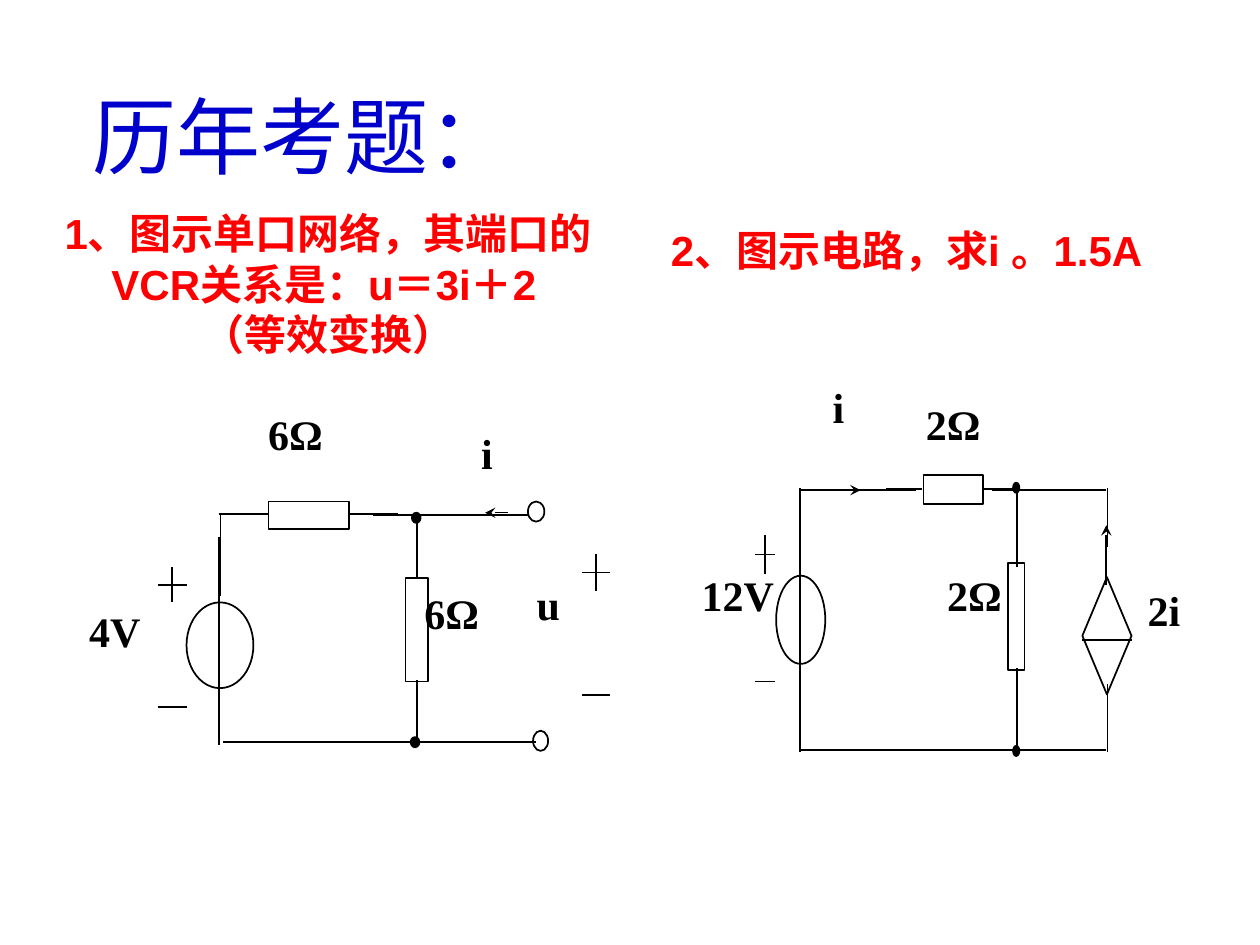
import pptx
import pptx.dml.color
import pptx.enum.shapes
import pptx.enum.text
import pptx.oxml
import pptx.util
from pptx.oxml.ns import qn

Pt = pptx.util.Pt
SHAPE = pptx.enum.shapes.MSO_SHAPE
ALIGN = pptx.enum.text.PP_ALIGN
ANCHOR = pptx.enum.text.MSO_ANCHOR
AUTO_SIZE = pptx.enum.text.MSO_AUTO_SIZE

BLUE, RED, TEAL, BLACK = "0000CC", "FF0000", "007A77", "000000"


def color(hex_code):
    return pptx.dml.color.RGBColor.from_string(hex_code)


def place(shape, left, top, width, height):
    shape.left, shape.top = Pt(left), Pt(top)
    shape.width, shape.height = Pt(width), Pt(height)


def add_run(paragraph, text, size, font_name, hex_code, bold=True):
    run = paragraph.add_run()
    run.text = text
    run.font.size = Pt(size)
    run.font.name = font_name
    run.font.bold = bold
    run.font.color.rgb = color(hex_code)


def add_text_box(shapes, box, align, wrap=True):
    """Add an empty text box; return its text frame."""
    frame = shapes.add_textbox(*map(Pt, box)).text_frame
    frame.word_wrap = wrap
    frame.paragraphs[0].alignment = align
    return frame


def add_label(circuit, text, *box):
    frame = add_text_box(circuit.shapes, box, ALIGN.JUSTIFY)
    add_run(frame.paragraphs[0], text, 24, "Times New Roman", BLACK)


def add_wire(circuit, x1, y1, x2, y2, width=1, arrow=False):
    wire = circuit.shapes.add_connector(
        pptx.enum.shapes.MSO_CONNECTOR.STRAIGHT, Pt(x1), Pt(y1), Pt(x2), Pt(y2))
    wire.line.color.rgb = color(BLACK)
    wire.line.width = Pt(width)
    properties = wire._element.spPr
    if arrow:
        head = pptx.oxml.parse_xml(
            '<a:tailEnd xmlns:a="http://schemas.openxmlformats.org/drawingml/2006/main"'
            ' type="stealth"/>')
        properties.find(qn("a:ln")).append(head)
    properties.append(properties.makeelement(qn("a:effectLst"), {}))


def add_symbol(circuit, kind, left, top, width, height, filled=False):
    symbol = circuit.shapes.add_shape(kind, *map(Pt, (left, top, width, height)))
    symbol.shadow.inherit = False
    if filled:
        symbol.fill.solid()
        symbol.fill.fore_color.rgb = color(BLACK)
    else:
        symbol.fill.background()
    symbol.line.color.rgb = color(BLACK)
    symbol.line.width = Pt(1)


def add_polarity(circuit, x, plus_y, minus_y, half_width, half_height):
    """Draw a plus sign above a minus sign."""
    for y in (plus_y, minus_y):
        add_wire(circuit, x - half_width, y, x + half_width, y)
    add_wire(circuit, x, plus_y - half_height, x, plus_y + half_height)


def add_title(slide):
    title = slide.shapes.title
    place(title, 45.4, 44.6, 647.3, 64.8)
    frame = title.text_frame
    frame.auto_size = AUTO_SIZE.SHAPE_TO_FIT_TEXT
    frame.vertical_anchor = ANCHOR.TOP
    paragraph = frame.paragraphs[0]
    paragraph.alignment = ALIGN.LEFT
    add_run(paragraph, "历年考题：", 48, "Times New Roman", BLUE, False)


def add_questions(slide):
    first = add_text_box(slide.shapes, (28.8, 100.8, 317.5, 122.4), ALIGN.CENTER)
    paragraph = first.paragraphs[0]
    add_run(paragraph, "1、图示单口网络，其端口的VCR关系是：u＝3i＋2", 24, "Arial", RED)
    add_run(paragraph, " ", 18, "Arial", TEAL, False)
    paragraph = first.add_paragraph()
    paragraph.alignment = ALIGN.CENTER
    add_run(paragraph, "（等效变换）", 24, "Arial", RED)

    second = add_text_box(slide.shapes, (364.3, 124.6, 313.2, 36), ALIGN.CENTER, False)
    add_run(second.paragraphs[0], "2、图示电路，求i 。1.5A ", 24, "Arial", RED)

    for frame in (first, second):
        frame.vertical_anchor = ANCHOR.MIDDLE
        frame.auto_size = AUTO_SIZE.SHAPE_TO_FIT_TEXT


def add_port_circuit(slide):
    circuit = slide.shapes.add_group_shape()
    # Wires: bottom, top, middle branch, source branch
    for ends in [(306, 424.1, 178.6, 424.1), (254.9, 424.1, 127.4, 424.1),
                 (302.4, 294.5, 213.1, 294.5), (153.4, 293.8, 125.3, 293.8),
                 (227.5, 293.8, 199.4, 293.8),
                 (238.3, 330.5, 238.3, 294.5), (238.3, 425.5, 238.3, 388.8),
                 (126, 340.6, 126, 294.5), (125.3, 425.5, 125.3, 306.7)]:
        add_wire(circuit, *ends)
    add_wire(circuit, 290.2, 293, 277.2, 293, width=0.75, arrow=True)
    # Resistors, source, terminals and nodes
    add_symbol(circuit, SHAPE.RECTANGLE, 153.4, 286.6, 46.1, 15.8)
    add_symbol(circuit, SHAPE.RECTANGLE, 231.8, 330.5, 13, 59)
    add_symbol(circuit, SHAPE.OVAL, 106.6, 344.2, 38.2, 49)
    add_symbol(circuit, SHAPE.OVAL, 301.7, 286.6, 9.4, 11.5)
    add_symbol(circuit, SHAPE.OVAL, 304.6, 417.6, 8.6, 11.5)
    for left, top in [(235.4, 293), (234.7, 421.2)]:
        add_symbol(circuit, SHAPE.FLOWCHART_CONNECTOR, left, top, 5, 5.8, filled=True)
    # Polarity of the source and of the port
    add_polarity(circuit, 98.3, 334.1, 403.9, 8.3, 10.1)
    add_polarity(circuit, 340.6, 327.2, 397, 8, 10.8)
    # Labels
    add_label(circuit, "i", 267.8, 240.5, 36.7, 51.8)
    add_label(circuit, "u", 299.5, 326.9, 51.1, 58.3)
    for text, left, top in [("4V", 43.9, 342.7), ("6Ω", 146.2, 229.7),
                            ("6Ω", 235.4, 331.9)]:
        add_label(circuit, text, left, top, 76.3, 51.8)


def add_controlled_source_circuit(slide):
    circuit = slide.shapes.add_group_shape()
    # Wires: source branch, top, bottom, middle branch, right branch
    for ends in [(457.2, 278.6, 457.2, 429.8),
                 (523.4, 280.1, 457.9, 280.1), (527, 279.4, 506.2, 279.4),
                 (582.5, 279.4, 561.6, 279.4), (632.2, 280.1, 566.6, 280.1),
                 (522, 428.4, 456.5, 428.4), (571.7, 428.4, 496.8, 428.4),
                 (632.2, 428.4, 566.6, 428.4),
                 (581, 324, 581, 278.6), (581, 429.8, 581, 381.6),
                 (632.9, 278.6, 632.9, 312.5), (632.9, 290.2, 632.9, 306.7),
                 (632.9, 429.8, 632.9, 391), (646.6, 365.8, 618.5, 365.8)]:
        add_wire(circuit, *ends)
    add_wire(circuit, 473, 280.1, 491.8, 280.1, arrow=True)
    add_wire(circuit, 632.2, 334.1, 632.2, 300.2, arrow=True)
    # Sources, resistors and nodes
    add_symbol(circuit, SHAPE.OVAL, 443.5, 329, 28.1, 50.4)
    add_symbol(circuit, SHAPE.DIAMOND, 618.5, 329.8, 28.1, 67)
    add_symbol(circuit, SHAPE.RECTANGLE, 527.8, 271.4, 33.8, 16.6)
    add_symbol(circuit, SHAPE.RECTANGLE, 576, 321.8, 9.4, 61.2)
    for top in (275.8, 426.2):
        add_symbol(circuit, SHAPE.FLOWCHART_CONNECTOR, 578.9, top, 3.6, 5.8, filled=True)
    add_polarity(circuit, 437, 316.8, 389.5, 5.8, 11.2)
    # Labels
    add_label(circuit, "i", 468.7, 214.6, 37.4, 60.5)
    add_label(circuit, "2i", 648.7, 330.5, 46.8, 54)
    for text, left, top in [("12V", 393.8, 321.8), ("2Ω", 522, 223.9),
                            ("2Ω", 534.2, 321.8)]:
        add_label(circuit, text, left, top, 56.2, 54)


def main():
    presentation = pptx.Presentation()
    presentation.slide_width, presentation.slide_height = Pt(720), Pt(540)
    slide = presentation.slides.add_slide(presentation.slide_layouts[5])
    add_title(slide)
    add_questions(slide)
    add_port_circuit(slide)
    add_controlled_source_circuit(slide)
    presentation.save("out.pptx")


if __name__ == "__main__":
    main()
